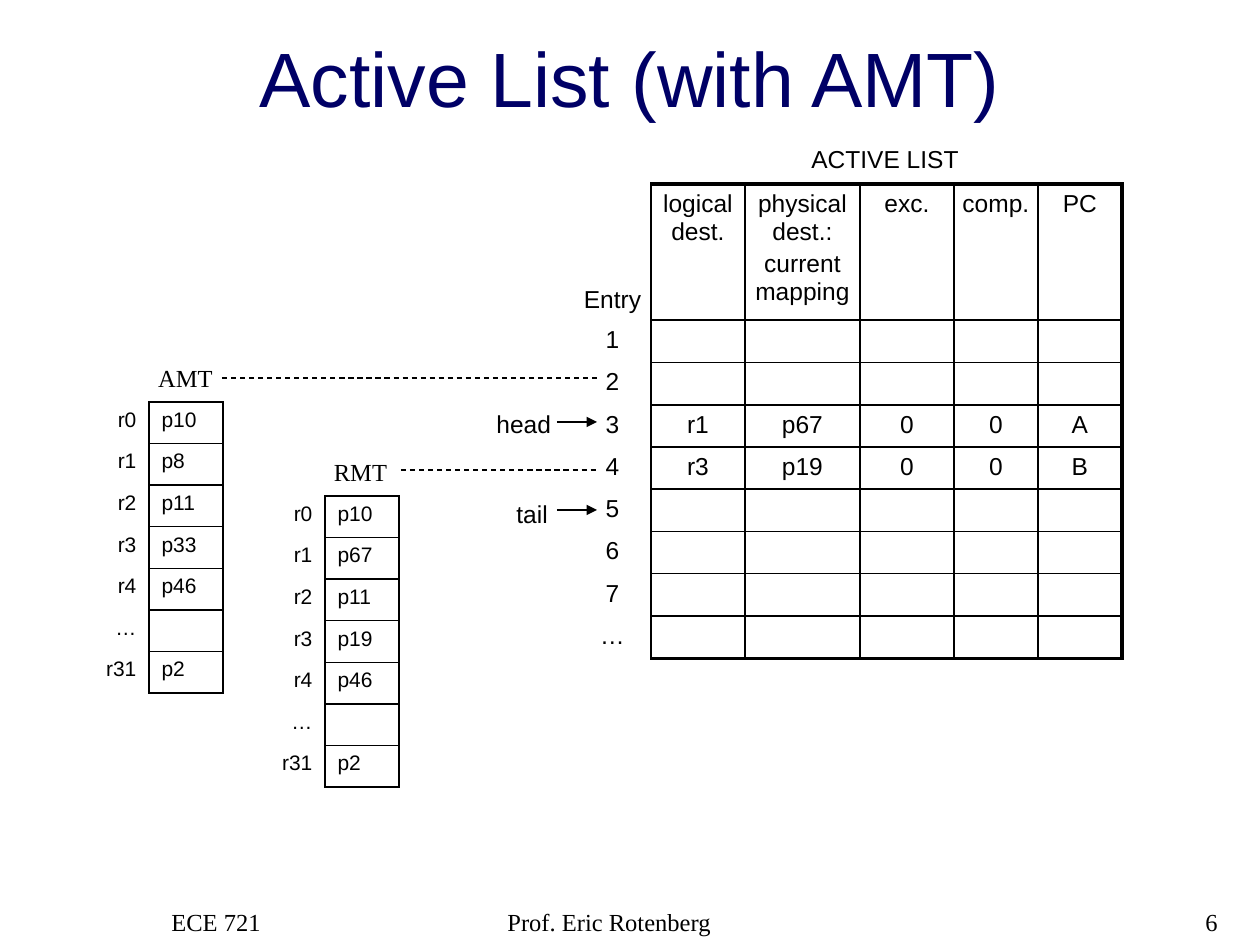
import dataclasses
import typing

import lxml.etree
import pptx
import pptx.dml.color
import pptx.enum.dml
import pptx.enum.shapes
import pptx.enum.text
import pptx.oxml.ns
import pptx.util

EMU_PER_PX = 914400 / 126
BLACK = pptx.dml.color.RGBColor(0x00, 0x00, 0x00)
NAVY = pptx.dml.color.RGBColor(0x00, 0x00, 0x66)
SANS, SERIF = "Arial", "Times New Roman"
LEFT = pptx.enum.text.PP_ALIGN.LEFT
CENTER = pptx.enum.text.PP_ALIGN.CENTER
RIGHT = pptx.enum.text.PP_ALIGN.RIGHT
TOP = pptx.enum.text.MSO_ANCHOR.TOP
BOTTOM = pptx.enum.text.MSO_ANCHOR.BOTTOM
THIN, THICK = 1, 2.25


@dataclasses.dataclass(frozen=True)
class Label:
    text: str
    left: int
    top: int
    width: int
    height: int
    font: str = SANS
    align: typing.Any = LEFT
    size: int = 14
    color: typing.Any = BLACK
    anchor: typing.Any = TOP
    wrap: bool = False


@dataclasses.dataclass(frozen=True)
class Pointer:
    """A horizontal line, either a solid arrow or a plain dashed line."""
    left: int
    right: int
    y: int
    dashed: bool


@dataclasses.dataclass(frozen=True)
class MapTable:
    left: int
    top: int
    registers: tuple[str, ...]


LABELS = (
    Label("Active List (with AMT)", 0, 23, 1260, 106, SANS, CENTER, 44, NAVY, BOTTOM, True),
    Label("ECE 721", 159, 901, 262, 63, SERIF, wrap=True),
    Label("Prof. Eric Rotenberg", 495, 901, 399, 63, SERIF, wrap=True),
    Label("6", 968, 901, 262, 63, SERIF, RIGHT, wrap=True),
    Label("ACTIVE LIST", 799, 138, 175, 42),
    Label("head", 484, 403, 83, 43),
    Label("tail", 504, 493, 57, 43),
    Label("AMT", 145, 357, 81, 43, SERIF, CENTER),
    Label("RMT", 321, 451, 79, 43, SERIF, CENTER),
)
POINTERS = (
    Pointer(557, 597, 510, False),
    Pointer(557, 597, 422, False),
    Pointer(401, 597, 470, True),
    Pointer(222, 597, 378, True),
)
LOGICAL = ("r0", "r1", "r2", "r3", "r4", "…", "r31")
MAP_TABLES = (
    MapTable(75, 402, ("p10", "p8", "p11", "p33", "p46", "", "p2")),
    MapTable(251, 496, ("p10", "p67", "p11", "p19", "p46", "", "p2")),
)
HEADINGS = ("Entry", "logical dest.", "physical dest.:\ncurrent mapping", "exc.", "comp.", "PC")
ENTRIES = ("1", "2", "3", "4", "5", "6", "7", "…")
ACTIVE = {"3": ("r1", "p67", "0", "0", "A"), "4": ("r3", "p19", "0", "0", "B")}
ACTIVE_COLUMNS = (77, 94, 115, 94, 84, 84)
HEADING_HEIGHT, ENTRY_HEIGHT = 136, 42


def px(length: float) -> pptx.util.Emu:
    return pptx.util.Emu(round(length * EMU_PER_PX))


def format_text(frame, font: str, size: int, color, align) -> None:
    for index, para in enumerate(frame.paragraphs):
        para.alignment = align
        if index:
            para.space_before = pptx.util.Pt(size * 0.2)
        for span in para.runs:
            span.font.name = font
            span.font.size = pptx.util.Pt(size)
            span.font.color.rgb = color
        if not para.runs:
            end = lxml.etree.SubElement(para._p, pptx.oxml.ns.qn("a:endParaRPr"))
            end.set("sz", str(size * 100))


def add_label(page, label: Label) -> None:
    box = page.shapes.add_textbox(
        px(label.left), px(label.top), px(label.width), px(label.height))
    frame = box.text_frame
    frame.text = label.text
    frame.word_wrap = label.wrap
    frame.vertical_anchor = label.anchor
    format_text(frame, label.font, label.size, label.color, label.align)


def add_pointer(page, pointer: Pointer) -> None:
    line = page.shapes.add_connector(
        pptx.enum.shapes.MSO_CONNECTOR.STRAIGHT,
        px(pointer.left), px(pointer.y), px(pointer.right), px(pointer.y))
    line.line.color.rgb = BLACK
    line.line.width = pptx.util.Pt(0.75)
    if pointer.dashed:
        line.line.dash_style = pptx.enum.dml.MSO_LINE.DASH
    else:
        tail = lxml.etree.SubElement(line.line._get_or_add_ln(), pptx.oxml.ns.qn("a:tailEnd"))
        tail.set("type", "triangle")
    lxml.etree.SubElement(line._element.spPr, pptx.oxml.ns.qn("a:effectLst"))


def set_borders(cell, widths: dict[str, float]) -> None:
    """Draw the sides L, R, T and B named in widths, and clear the others."""
    properties = cell._tc.get_or_add_tcPr()
    for side in "LRTB":
        border = lxml.etree.SubElement(properties, pptx.oxml.ns.qn(f"a:ln{side}"))
        if side not in widths:
            lxml.etree.SubElement(border, pptx.oxml.ns.qn("a:noFill"))
            continue
        border.set("w", str(pptx.util.Pt(widths[side])))
        fill = lxml.etree.SubElement(border, pptx.oxml.ns.qn("a:solidFill"))
        color = lxml.etree.SubElement(fill, pptx.oxml.ns.qn("a:srgbClr"))
        color.set("val", str(BLACK))


def add_plain_table(page, rows: int, columns: int, left: int, top: int, width: int, height: int):
    table = page.shapes.add_table(
        rows, columns, px(left), px(top), px(width), px(height)).table
    table.first_row = False
    table.horz_banding = False
    return table


def fill_cell(cell, text: str, size: int, align, borders: dict[str, float]) -> None:
    set_borders(cell, borders)
    cell.fill.background()
    cell.text_frame.text = text
    format_text(cell.text_frame, SANS, size, BLACK, align)


def add_map_table(page, mapping: MapTable) -> None:
    table = add_plain_table(page, len(LOGICAL), 2, mapping.left, mapping.top, 148, 291)
    for row, (logical, physical) in enumerate(zip(LOGICAL, mapping.registers)):
        fill_cell(table.cell(row, 0), logical, 12, RIGHT, {"R": THIN})
        fill_cell(table.cell(row, 1), physical, 12, LEFT, dict.fromkeys("LRTB", THIN))


def add_active_list(page) -> None:
    blank = ("",) * (len(HEADINGS) - 1)
    rows = [HEADINGS] + [(entry, *ACTIVE.get(entry, blank)) for entry in ENTRIES]
    heights = [HEADING_HEIGHT] + [ENTRY_HEIGHT] * len(ENTRIES)
    table = add_plain_table(
        page, len(rows), len(HEADINGS), 574, 184, sum(ACTIVE_COLUMNS), sum(heights))
    for column, width in zip(table.columns, ACTIVE_COLUMNS):
        column.width = px(width)
    for row, height in zip(table.rows, heights):
        row.height = px(height)
    for row, texts in enumerate(rows):
        for column, text in enumerate(texts):
            borders = {"R": THIN}
            if column:
                borders = {
                    "L": THIN,
                    "R": THICK if column == len(HEADINGS) - 1 else THIN,
                    "T": THIN if row else THICK,
                    "B": THICK if row == len(rows) - 1 else THIN,
                }
            cell = table.cell(row, column)
            fill_cell(cell, text, 14, CENTER, borders)
            cell.margin_left = cell.margin_right = pptx.util.Inches(0.05)
    table.cell(0, 0).vertical_anchor = BOTTOM


def main() -> None:
    deck = pptx.Presentation()
    deck.slide_width, deck.slide_height = px(1260), px(945)
    page = deck.slides.add_slide(deck.slide_layouts[6])
    add_active_list(page)
    for mapping in MAP_TABLES:
        add_map_table(page, mapping)
    for label in LABELS:
        add_label(page, label)
    for pointer in POINTERS:
        add_pointer(page, pointer)
    deck.save("out.pptx")


if __name__ == "__main__":
    main()
